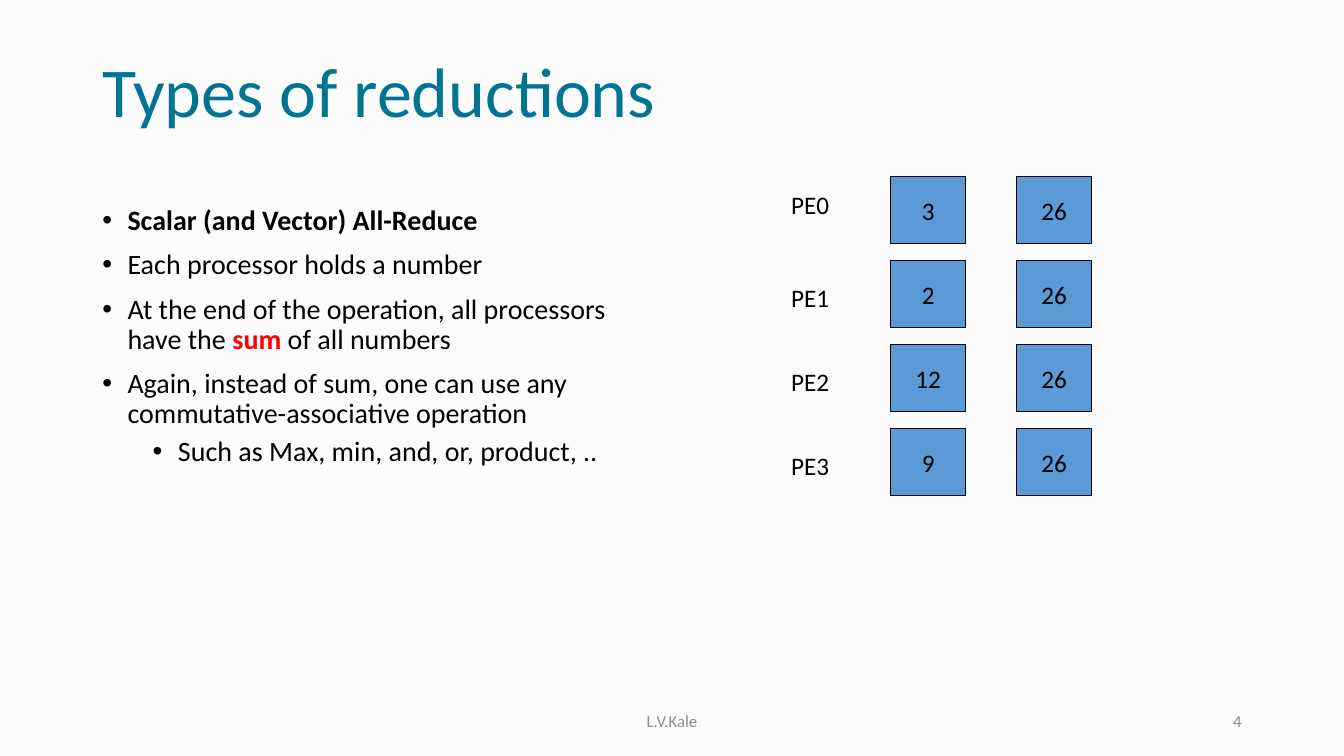
from lxml.etree import SubElement
from pptx import Presentation
from pptx.dml.color import RGBColor
from pptx.enum.shapes import MSO_SHAPE
from pptx.enum.text import MSO_ANCHOR, PP_ALIGN
from pptx.oxml.ns import qn
from pptx.util import Pt

COLORS = {"back": "FCFCFC", "title": "007592", "text": "000000",
          "accent": "FF0000", "footer": "8C8C8C", "cell": "5B9BD5"}
FONT = "Calibri"

TITLE = "Types of reductions"
AUTHOR = "L.V.Kale"
NUMBER = "4"
# Each bullet: level, then runs of (text, color, bold)
BULLETS = [
    (0, [("Scalar (and Vector) All-Reduce", "text", True)]),
    (0, [("Each processor holds a number", "text", False)]),
    (0, [("At the end of the operation, all processors have the ", "text", False),
         ("sum", "accent", True),
         (" of all numbers", "text", False)]),
    (0, [("Again, instead of sum, one can use any commutative-associative operation",
          "text", False)]),
    (1, [("Such as Max, min, and, or, product, ..", "text", False)]),
]
VALUES = [3, 2, 12, 9]

LABEL_LEFT = 558
LABEL_TOPS = [132, 198, 258, 318]
CELL_LEFTS = [636, 726]
CELL_TOP, ROW_STEP = 126, 60
CELL_WIDTH, CELL_HEIGHT = 54, 48


def color(name):
    return RGBColor.from_string(COLORS[name])


def add_run(para, text, size, shade, bold=False):
    run = para.add_run()
    run.text = text
    font = run.font
    font.name, font.size, font.bold = FONT, Pt(size), bold
    font.color.rgb = color(shade)


def add_box(slide, place, anchor=MSO_ANCHOR.TOP):
    """Add a wrapping text box and return its text frame."""
    frame = slide.shapes.add_textbox(*map(Pt, place)).text_frame
    frame.word_wrap = True
    frame.vertical_anchor = anchor
    return frame


def add_line(slide, place, text, size, shade, align=PP_ALIGN.LEFT,
             anchor=MSO_ANCHOR.MIDDLE):
    """Add a text box that holds one paragraph and return the paragraph."""
    para = add_box(slide, place, anchor).paragraphs[0]
    para.alignment = align
    add_run(para, text, size, shade)
    return para


def add_bullets(slide, place):
    frame = add_box(slide, place)
    for index, (level, runs) in enumerate(BULLETS):
        para = frame.paragraphs[0] if index == 0 else frame.add_paragraph()
        para.level = level
        para.line_spacing = 0.9
        if index:
            para.space_before = Pt(5 if level else 10)
        props = para._p.get_or_add_pPr()
        props.set("marL", str(Pt(18 + 36 * level)))
        props.set("indent", str(Pt(-18)))
        SubElement(props, qn("a:buFont"), typeface="Arial")
        SubElement(props, qn("a:buChar"), char="•")
        for text, shade, bold in runs:
            add_run(para, text, 20, shade, bold)


def add_cell(slide, left, top, value):
    cell = slide.shapes.add_shape(MSO_SHAPE.RECTANGLE, Pt(left), Pt(top),
                                  Pt(CELL_WIDTH), Pt(CELL_HEIGHT))
    cell.shadow.inherit = False
    cell.fill.solid()
    cell.fill.fore_color.rgb = color("cell")
    cell.line.color.rgb = color("text")
    cell.line.width = Pt(0.75)
    frame = cell.text_frame
    frame.word_wrap = False
    frame.vertical_anchor = MSO_ANCHOR.MIDDLE
    para = frame.paragraphs[0]
    para.alignment = PP_ALIGN.CENTER
    add_run(para, str(value), 18, "text")


def main():
    deck = Presentation()
    deck.slide_width, deck.slide_height = Pt(960), Pt(540)
    slide = deck.slides.add_slide(deck.slide_layouts[6])
    slide.background.fill.solid()
    slide.background.fill.fore_color.rgb = color("back")

    title = add_line(slide, (66, 16, 828, 104), TITLE, 50, "title")
    title.line_spacing = 0.9
    add_bullets(slide, (66, 144, 408, 343))
    add_line(slide, (318, 500.5, 324, 28.75), AUTHOR, 12, "footer", PP_ALIGN.CENTER)
    add_line(slide, (678, 500.5, 216, 28.75), NUMBER, 12, "footer", PP_ALIGN.RIGHT)

    total = sum(VALUES)
    for row, (value, top) in enumerate(zip(VALUES, LABEL_TOPS)):
        add_line(slide, (LABEL_LEFT, top, 60, 29), f"PE{row}", 18, "text",
                 anchor=MSO_ANCHOR.TOP)
        for left, number in zip(CELL_LEFTS, (value, total)):
            add_cell(slide, left, CELL_TOP + row * ROW_STEP, number)

    deck.save("out.pptx")


if __name__ == "__main__":
    main()
